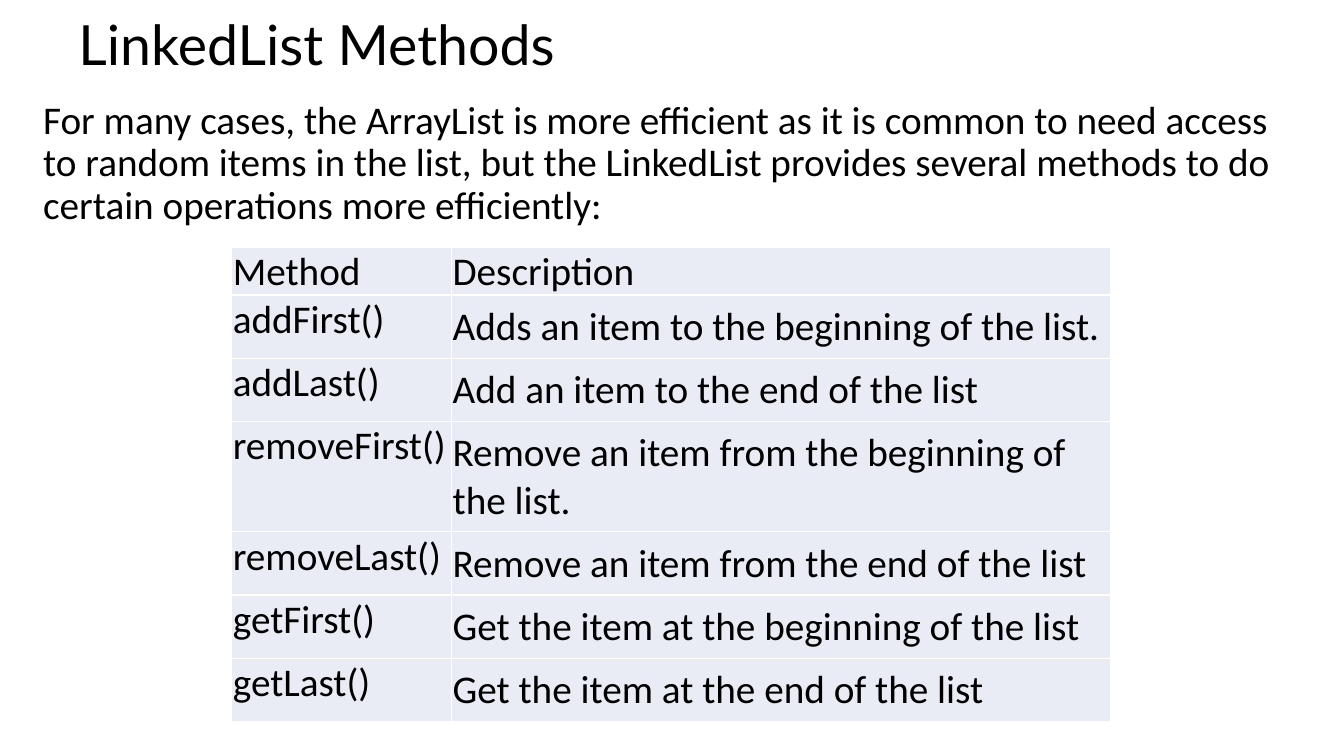
from dataclasses import dataclass

from lxml import etree
from pptx import Presentation
from pptx.dml.color import RGBColor
from pptx.enum import text
from pptx.oxml import ns
from pptx import util as u

PX = 9144
BLACK = RGBColor(0x00, 0x00, 0x00)
WHITE = RGBColor(0xFF, 0xFF, 0xFF)
LAVENDER = RGBColor(0xE9, 0xEB, 0xF5)
BORDER_WIDTH = u.Pt(1)
COLUMN_WIDTHS = (218, 654)
HEADER_HEIGHT = 34
ROW_HEIGHT = 55


@dataclass(frozen=True)
class TextBlock:
    left: int
    top: int
    width: int
    height: int
    wording: str
    font: str
    size: float
    anchor: text.MSO_ANCHOR


@dataclass(frozen=True)
class MethodRow:
    method: str
    description: str


BLOCKS = (
    TextBlock(68, 19, 1150, 56, "LinkedList Methods", "Lato", 39.6,
              text.MSO_ANCHOR.MIDDLE),
    TextBlock(33, 95, 1268, 140,
              "For many cases, the ArrayList is more efficient as it is common "
              "to need access to random items in the list, but the LinkedList "
              "provides several methods to do certain operations more "
              "efficiently:", "Calibri", 28, text.MSO_ANCHOR.TOP),
)

ROWS = (
    MethodRow("Method", "Description"),
    MethodRow("addFirst()", "Adds an item to the beginning of the list."),
    MethodRow("addLast()", "Add an item to the end of the list"),
    MethodRow("removeFirst()", "Remove an item from the beginning of the list."),
    MethodRow("removeLast()", "Remove an item from the end of the list"),
    MethodRow("getFirst()", "Get the item at the beginning of the list"),
    MethodRow("getLast()", "Get the item at the end of the list"),
)


def px(length: int) -> u.Emu:
    return u.Emu(length * PX)


def write(paragraph, wording: str, font: str, size: float) -> None:
    paragraph.text = wording
    paragraph.font.name = font
    paragraph.font.size = u.Pt(size)
    paragraph.font.color.rgb = BLACK


def draw_block(page, block: TextBlock) -> None:
    box = page.shapes.add_textbox(
        px(block.left), px(block.top), px(block.width), px(block.height))
    frame = box.text_frame
    frame.word_wrap = True
    frame.vertical_anchor = block.anchor
    paragraph = frame.paragraphs[0]
    paragraph.line_spacing = 0.9
    write(paragraph, block.wording, block.font, block.size)


def add_borders(cell) -> None:
    properties = cell._tc.get_or_add_tcPr()
    for side in ("lnL", "lnR", "lnT", "lnB"):
        line = etree.SubElement(properties, ns.qn(f"a:{side}"), w=str(BORDER_WIDTH))
        fill = etree.SubElement(line, ns.qn("a:solidFill"))
        etree.SubElement(fill, ns.qn("a:srgbClr"), val=str(WHITE))


def draw_cell(cell, wording: str, padding: tuple[int, int]) -> None:
    cell.margin_left = cell.margin_right = px(1)
    cell.margin_top, cell.margin_bottom = map(px, padding)
    add_borders(cell)
    cell.fill.solid()
    cell.fill.fore_color.rgb = LAVENDER
    write(cell.text_frame.paragraphs[0], wording, "Calibri", 28)


def draw_table(page, rows: tuple[MethodRow, ...]) -> None:
    heights = [HEADER_HEIGHT] + [ROW_HEIGHT] * (len(rows) - 1)
    table = page.shapes.add_table(
        len(rows), len(COLUMN_WIDTHS), px(230), px(245),
        px(sum(COLUMN_WIDTHS)), px(sum(heights))).table
    table.first_row = False
    table.horz_banding = False
    for column, width in zip(table.columns, COLUMN_WIDTHS):
        column.width = px(width)
    for index, (row, height) in enumerate(zip(rows, heights)):
        table.rows[index].height = px(height)
        draw_cell(table.cell(index, 0), row.method, (1, 0))
        draw_cell(table.cell(index, 1), row.description, (8, 8) if index else (1, 0))


def main() -> None:
    deck = Presentation()
    deck.slide_width = px(1333)
    deck.slide_height = px(750)
    page = deck.slides.add_slide(deck.slide_layouts[6])
    for block in BLOCKS:
        draw_block(page, block)
    draw_table(page, ROWS)
    deck.save("out.pptx")


if __name__ == "__main__":
    main()
